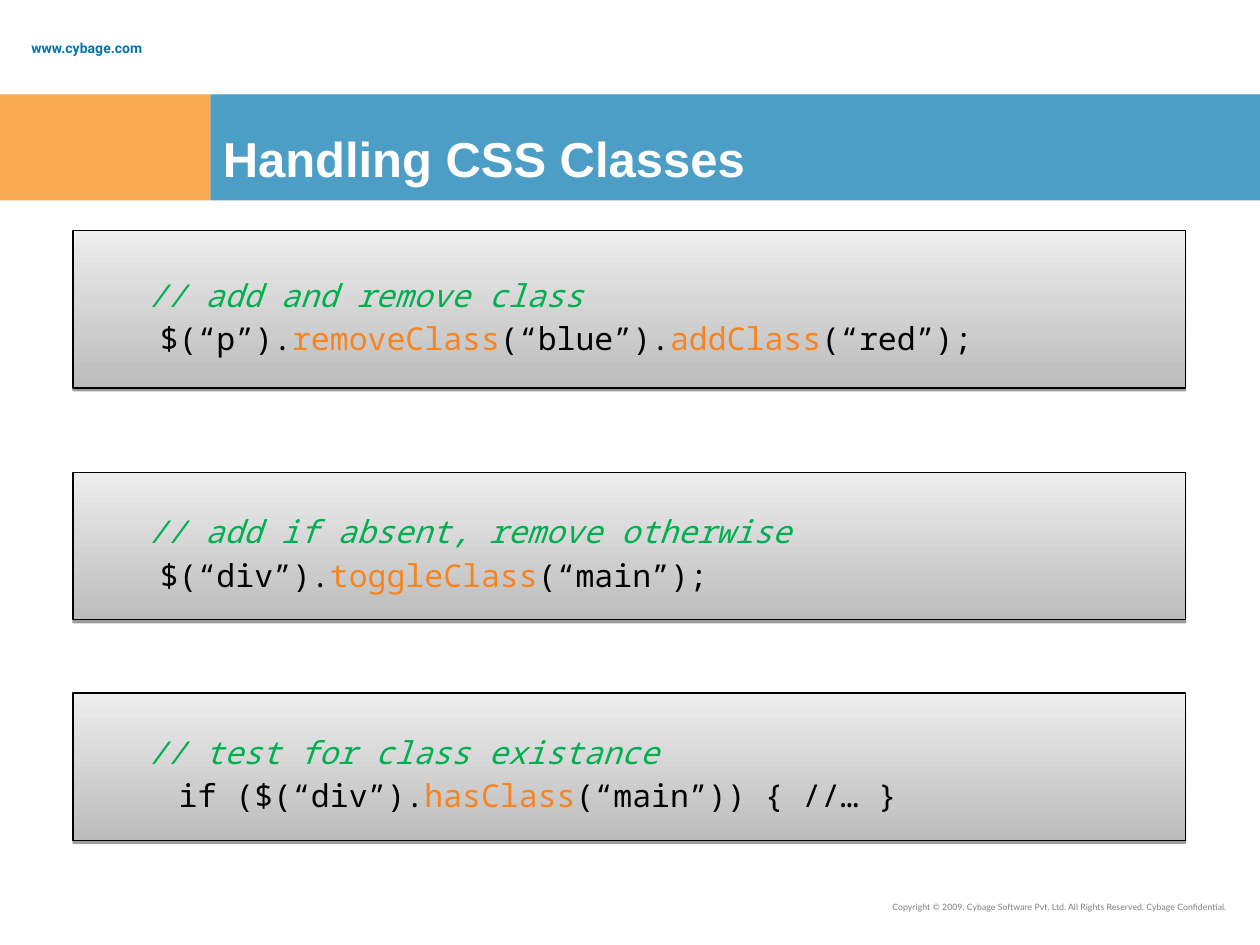
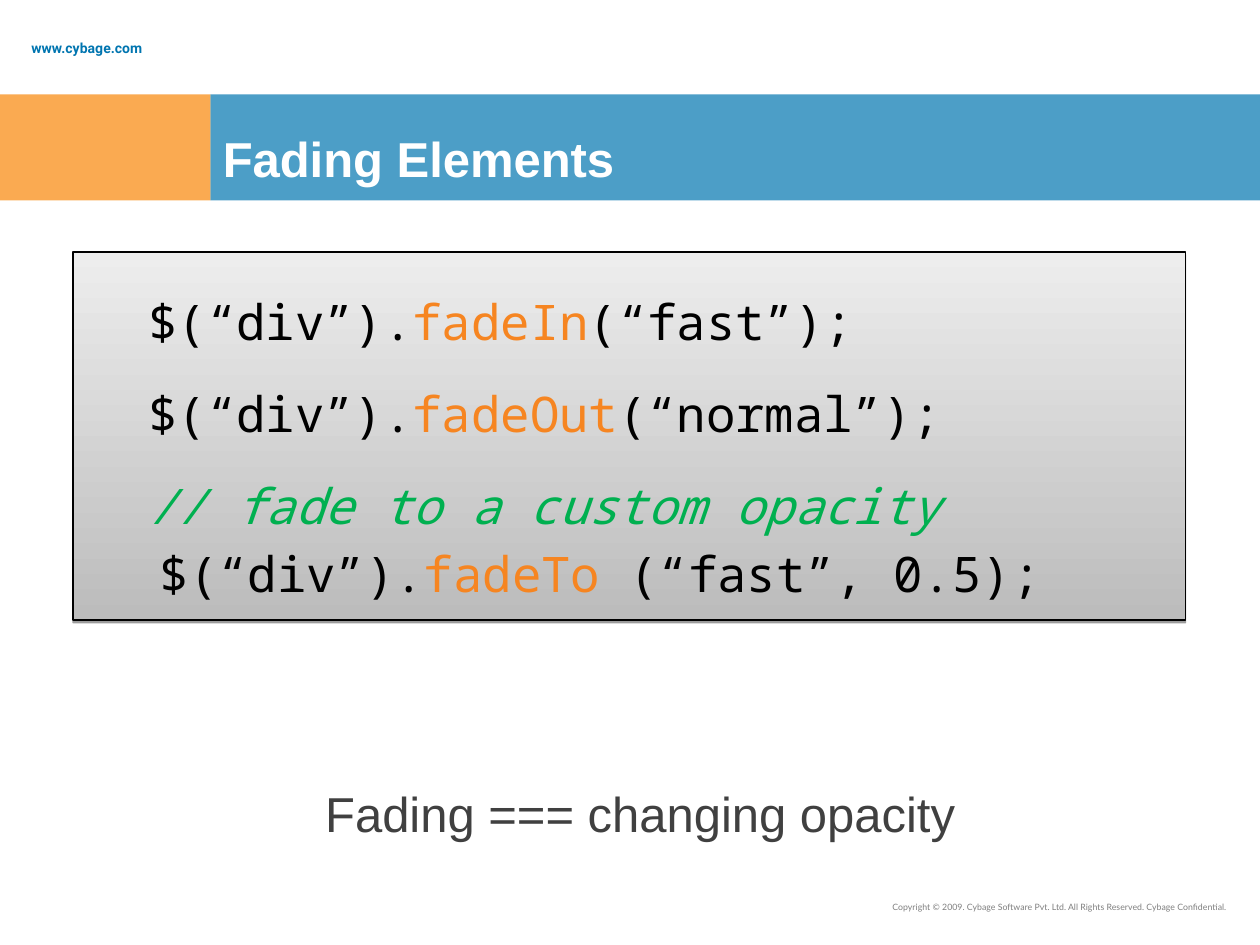
"""Build two slides on CSS classes and fading, with shared bands, code panels and footer."""
from lxml.etree import SubElement
from pptx import Presentation
from pptx.dml.color import RGBColor
from pptx.enum.shapes import MSO_SHAPE as Shape
from pptx.enum.text import MSO_ANCHOR as Anchor, PP_ALIGN as Align
from pptx.oxml.ns import qn
from pptx.util import Inches, Pt

COLORS = {
    "blue": "0075B0", "orange": "F88608", "white": "FFFFFF", "footer": "7F7F7F",
    "caption": "404040", "code": "000000", "method": "F68521", "comment": "00B050",
    "panel_bottom": "BCBCBC", "panel_top": "EDEDED", "outline": "000000",
}
SITE = "www.cybage.com"
COPYRIGHT = "Copyright © 2009. Cybage Software Pvt. Ltd. All Rights Reserved. Cybage Confidential."
BREAK = ("\n", None)

SLIDES = [
    {
        "title": "Handling CSS Classes", "size": 18, "gap": 4.5,
        "panels": [
            (1.83, 1.25, [[("// add and remove class", "comment"), BREAK,
                           ("$(“p”).", "code"), ("removeClass", "method"),
                           ("(“blue”).", "code"), ("addClass", "method"),
                           ("(“red”);", "code")]]),
            (3.75, 1.17, [[("// add if absent, remove otherwise", "comment"), BREAK,
                           ("$(“div”).", "code"), ("toggleClass", "method"),
                           ("(“main”);", "code")]]),
            (5.5, 1.17, [[("// test for class existance", "comment"), BREAK,
                          (" if ($(“div”).", "code"), ("hasClass", "method"),
                          ("(“main”)) { //… }", "code")]]),
        ],
    },
    {
        "title": "Fading Elements", "size": 28, "gap": 7,
        "panels": [
            (2, 2.92, [
                [("$(“div”).", "code"), ("fadeIn", "method"), ("(“fast”);", "code")],
                [("$(“div”).", "code"), ("fadeOut", "method"), ("(“normal”);", "code")],
                [("// fade to a custom opacity", "comment"), BREAK,
                 ("$(“div”).", "code"), ("fadeTo ", "method"), ("(“fast”, 0.5);", "code")],
            ]),
        ],
        "caption": "Fading === changing opacity",
    },
]

BAND_TOP, BAND_HEIGHT, BAND_SPLIT = 0.75, 0.84, 1.67
PANEL_LEFT, PANEL_WIDTH = 0.58, 8.83
TITLE_INDENT, CODE_INDENT = (0.38, -0.38), (0.59, -0.09)


def rgb(name):
    return RGBColor.from_string(COLORS[name])


def write(shape, paragraphs, font, size, bold=False, align=Align.LEFT, anchor=Anchor.MIDDLE,
          spacing=1.0, gap=0, indent=(0, 0)):
    frame = shape.text_frame
    frame.word_wrap = True
    frame.vertical_anchor = anchor
    frame.margin_top = Inches(0.05) + Pt(gap)
    for index, parts in enumerate(paragraphs):
        paragraph = frame.add_paragraph() if index else frame.paragraphs[0]
        paragraph.alignment = align
        paragraph.line_spacing = spacing
        paragraph.space_before = Pt(gap if index else 0)
        paragraph.space_after = Pt(gap)
        properties = paragraph._p.get_or_add_pPr()
        properties.set("marL", str(Inches(indent[0])))
        properties.set("indent", str(Inches(indent[1])))
        for part in parts:
            if part == BREAK:
                paragraph.add_line_break()
                continue
            text, color = part
            run = paragraph.add_run()
            run.text = text
            run.font.name = font
            run.font.size = Pt(size)
            run.font.bold = bold
            run.font.italic = color == "comment"
            run.font.color.rgb = rgb(color)


def add_rectangle(slide, *box):
    shape = slide.shapes.add_shape(Shape.RECTANGLE, *map(Inches, box))
    shape.shadow.inherit = False
    return shape


def add_label(slide, box, text, color, font, size, **style):
    label = slide.shapes.add_textbox(*map(Inches, box))
    write(label, [[(text, color)]], font, size, **style)


def add_band(slide, left, width, color):
    band = add_rectangle(slide, left, BAND_TOP, width, BAND_HEIGHT)
    band.line.fill.background()
    band.fill.solid()
    band.fill.fore_color.rgb = rgb(color)
    fill_color = band._element.spPr.find(".//" + qn("a:srgbClr"))
    SubElement(fill_color, qn("a:alpha"), val="70000")
    return band


def add_panel(slide, top, height, lines, size, gap):
    panel = add_rectangle(slide, PANEL_LEFT, top, PANEL_WIDTH, height)
    panel.fill.gradient()
    panel.fill.gradient_angle = 90
    for stop, color in zip(panel.fill.gradient_stops, ("panel_bottom", "panel_top")):
        stop.color.rgb = rgb(color)
    panel.line.color.rgb = rgb("outline")
    panel.line.width = Pt(0.75)
    effects = panel._element.spPr.find(qn("a:effectLst"))
    shadow = SubElement(effects, qn("a:outerShdw"), blurRad="0", dist=str(Pt(1.6)),
                        dir="5400000", rotWithShape="0")
    shadow_color = SubElement(shadow, qn("a:srgbClr"), val=COLORS["outline"])
    SubElement(shadow_color, qn("a:alpha"), val="38000")
    write(panel, lines, "Noto Sans Mono", size, spacing=1.15, gap=gap, indent=CODE_INDENT)


def add_frame(slide, title):
    add_label(slide, (0.15, 0.25, 1.5, 0.19), SITE, "blue", "Roboto", 8, bold=True, spacing=1.5)
    add_label(slide, (6.32, 7.11, 3.52, 0.26), COPYRIGHT, "footer", "Lato", 5,
              align=Align.RIGHT, anchor=Anchor.TOP)
    title_band = add_band(slide, BAND_SPLIT, 10 - BAND_SPLIT, "blue")
    write(title_band, [[(title, "white")]], "Arial", 28, bold=True,
          spacing=1.15, gap=7, indent=TITLE_INDENT)
    add_band(slide, 0, BAND_SPLIT, "orange")


def main():
    presentation = Presentation()
    presentation.slide_width, presentation.slide_height = Inches(10), Inches(7.5)
    for content in SLIDES:
        slide = presentation.slides.add_slide(presentation.slide_layouts[6])
        add_frame(slide, content["title"])
        for top, height, lines in content["panels"]:
            add_panel(slide, top, height, lines, content["size"], content["gap"])
        if "caption" in content:
            add_label(slide, (0.83, 6, 8.5, 0.7), content["caption"], "caption", "Arial", 28,
                      align=Align.CENTER, anchor=Anchor.TOP, spacing=1.15, gap=7,
                      indent=TITLE_INDENT)
    presentation.save("out.pptx")


if __name__ == "__main__":
    main()
